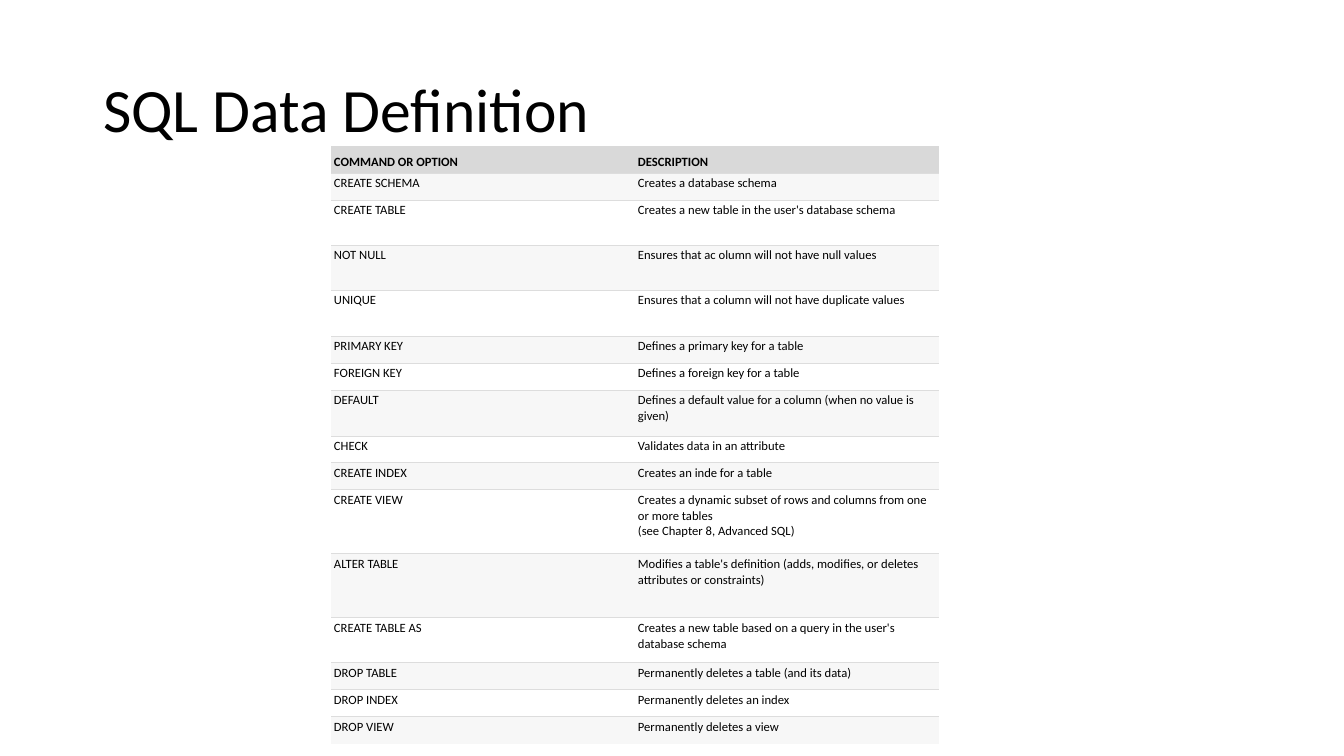
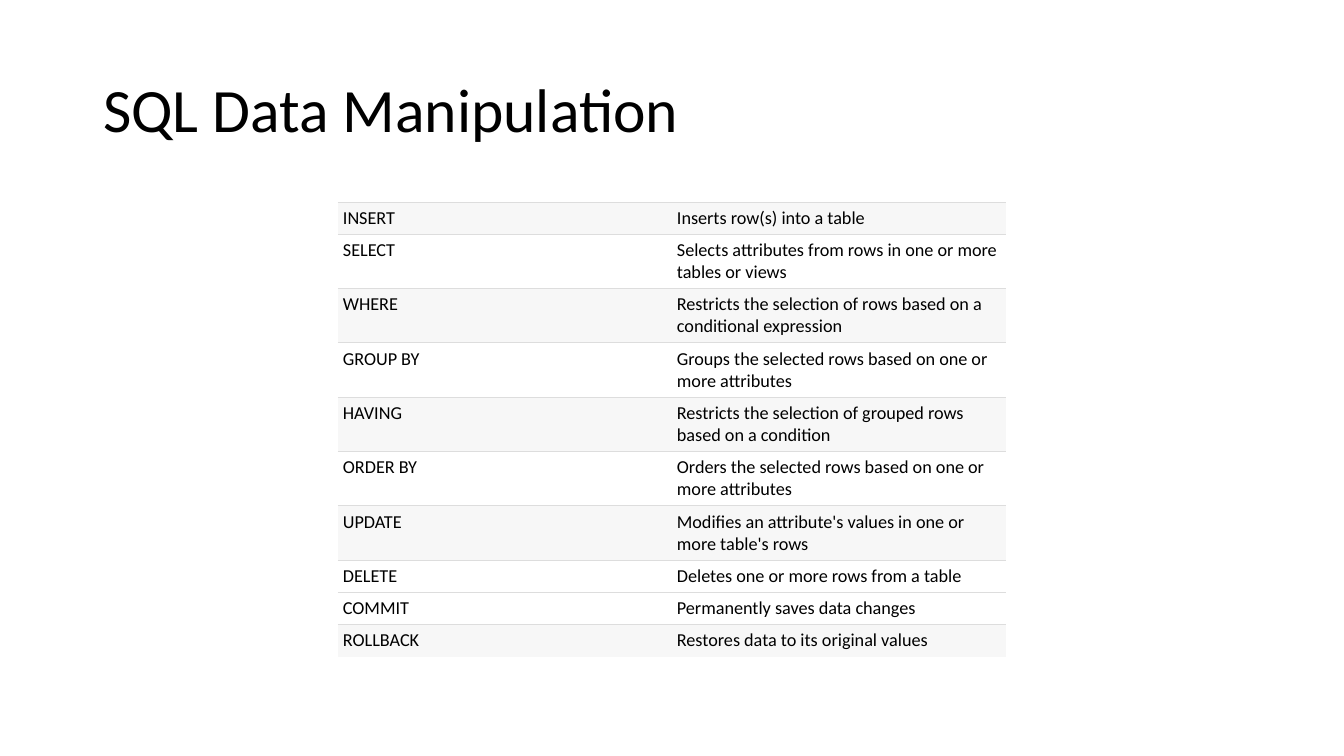
from pptx import Presentation
from pptx.dml.color import RGBColor as RGB
from pptx.enum.text import MSO_ANCHOR as ANCHOR, MSO_AUTO_SIZE as AUTO_SIZE, PP_ALIGN as ALIGN
from pptx.util import Pt
from lxml.etree import SubElement
from pptx.oxml.ns import qn

COLORS = {"text": "000000", "header": "D9D9D9", "band": "F7F7F7",
          "plain": "FFFFFF", "rule": "DDDDDD"}
FONT = "Calibri"
RULE_WIDTH = Pt(0.6)


def px(pixels):
    """Turn picture pixels (100.8 to the inch) into EMU."""
    return round(pixels * 914400 / 100.8)


def format_cell(cell, size, bold, fill, ruled_edges):
    """Style a cell's text and fill, ruling only the named edges."""
    for paragraph in cell.text_frame.paragraphs:
        for run in paragraph.runs:
            run.font.name, run.font.size, run.font.bold = FONT, Pt(size), bold
            run.font.color.rgb = RGB.from_string(COLORS["text"])
    properties = cell._tc.get_or_add_tcPr()
    for edge in ("lnL", "lnR", "lnT", "lnB"):
        line = SubElement(properties, qn(f"a:{edge}"))
        if edge in ruled_edges:
            line.set("w", str(RULE_WIDTH))
            solid = SubElement(line, qn("a:solidFill"))
            SubElement(solid, qn("a:srgbClr")).set("val", COLORS["rule"])
        else:
            SubElement(line, qn("a:noFill"))
    cell.fill.solid()
    cell.fill.fore_color.rgb = RGB.from_string(COLORS[fill])


# Each row: command, description, height in pixels
definition_rows = [
    ("COMMAND OR OPTION", "DESCRIPTION", 27),
    ("CREATE SCHEMA", "Creates a database schema", 27),
    ("CREATE TABLE", "Creates a new table in the user's database schema", 45),
    ("NOT NULL", "Ensures that ac olumn will not have null values", 45),
    ("UNIQUE", "Ensures that a column will not have duplicate values", 46),
    ("PRIMARY KEY", "Defines a primary key for a table", 27),
    ("FOREIGN KEY", "Defines a foreign key for a table", 27),
    ("DEFAULT", "Defines a default value for a column (when no value is given)", 46),
    ("CHECK", "Validates data in an attribute", 27),
    ("CREATE INDEX", "Creates an inde for a table", 27),
    ("CREATE VIEW", "Creates a dynamic subset of rows and columns from one or more tables\n"
                    "(see Chapter 8, Advanced SQL)", 64),
    ("ALTER TABLE", "Modifies a table's definition (adds, modifies, or deletes "
                    "attributes or constraints)", 64),
    ("CREATE TABLE AS", "Creates a new table based on a query in the user's "
                        "database schema", 45),
    ("DROP TABLE", "Permanently deletes a table (and its data)", 27),
    ("DROP INDEX", "Permanently deletes an index", 27),
    ("DROP VIEW", "Permanently deletes a view", 27),
]
manipulation_rows = [
    ("INSERT", "Inserts row(s) into a table", 32),
    ("SELECT", "Selects attributes from rows in one or more tables or views", 54),
    ("WHERE", "Restricts the selection of rows based on a conditional expression", 54),
    ("GROUP BY", "Groups the selected rows based on one or more attributes", 54),
    ("HAVING", "Restricts the selection of grouped rows based on a condition", 54),
    ("ORDER BY", "Orders the selected rows based on one or more attributes", 54),
    ("UPDATE", "Modifies an attribute's values in one or more table's rows", 54),
    ("DELETE", "Deletes one or more rows from a table", 32),
    ("COMMIT", "Permanently saves data changes", 32),
    ("ROLLBACK", "Restores data to its original values", 32),
]

# Each slide: title, rows, header rows, left, top, column width, text size, cell margin
slides = [
    ("SQL Data Definition", definition_rows, 1, 331, 146, 304, 9, 3),
    ("SQL Data Manipulation", manipulation_rows, 0, 338, 202, 334, 13, 5),
]

deck = Presentation()
deck.slide_width, deck.slide_height = px(1344), px(756)
title_layout = deck.slide_layouts.get_by_name("Title Only")

for heading, rows, header_rows, left, top, column_width, size, margin in slides:
    slide = deck.slides.add_slide(title_layout)
    title = slide.shapes.title
    title.left, title.top, title.width, title.height = px(93), px(40), px(1159), px(146)
    title.text_frame.text = heading
    title.text_frame.auto_size = AUTO_SIZE.NONE
    title.text_frame.vertical_anchor = ANCHOR.MIDDLE
    title_line = title.text_frame.paragraphs[0]
    title_line.alignment, title_line.line_spacing = ALIGN.LEFT, 0.9
    title_font = title_line.runs[0].font
    title_font.name, title_font.size = FONT, Pt(44)
    title_font.color.rgb = RGB.from_string(COLORS["text"])

    commands = slide.shapes.add_table(
        len(rows), 2, px(left), px(top), px(2 * column_width),
        px(sum(height for _, _, height in rows))).table
    commands.first_row = commands.horz_banding = False
    for column in commands.columns:
        column.width = px(column_width)

    last = len(rows) - 1
    for index, (command, description, height) in enumerate(rows):
        commands.rows[index].height = px(height)
        is_header = index < header_rows
        # Bands alternate, and the closing pair is always plain then tinted
        tinted = index == last or (index != last - 1 and (index - header_rows) % 2 == 0)
        fill = "header" if is_header else "band" if tinted else "plain"
        edges = {"lnB"} if is_header else {"lnT"} if index == last else {"lnT", "lnB"}
        for cell, wording in zip(commands.rows[index].cells, (command, description)):
            cell.text_frame.text = wording
            cell.margin_left = cell.margin_right = px(margin)
            cell.margin_top = cell.margin_bottom = px(margin)
            cell.vertical_anchor = ANCHOR.BOTTOM if is_header else ANCHOR.TOP
            format_cell(cell, size, is_header, fill, edges)

deck.save("out.pptx")
